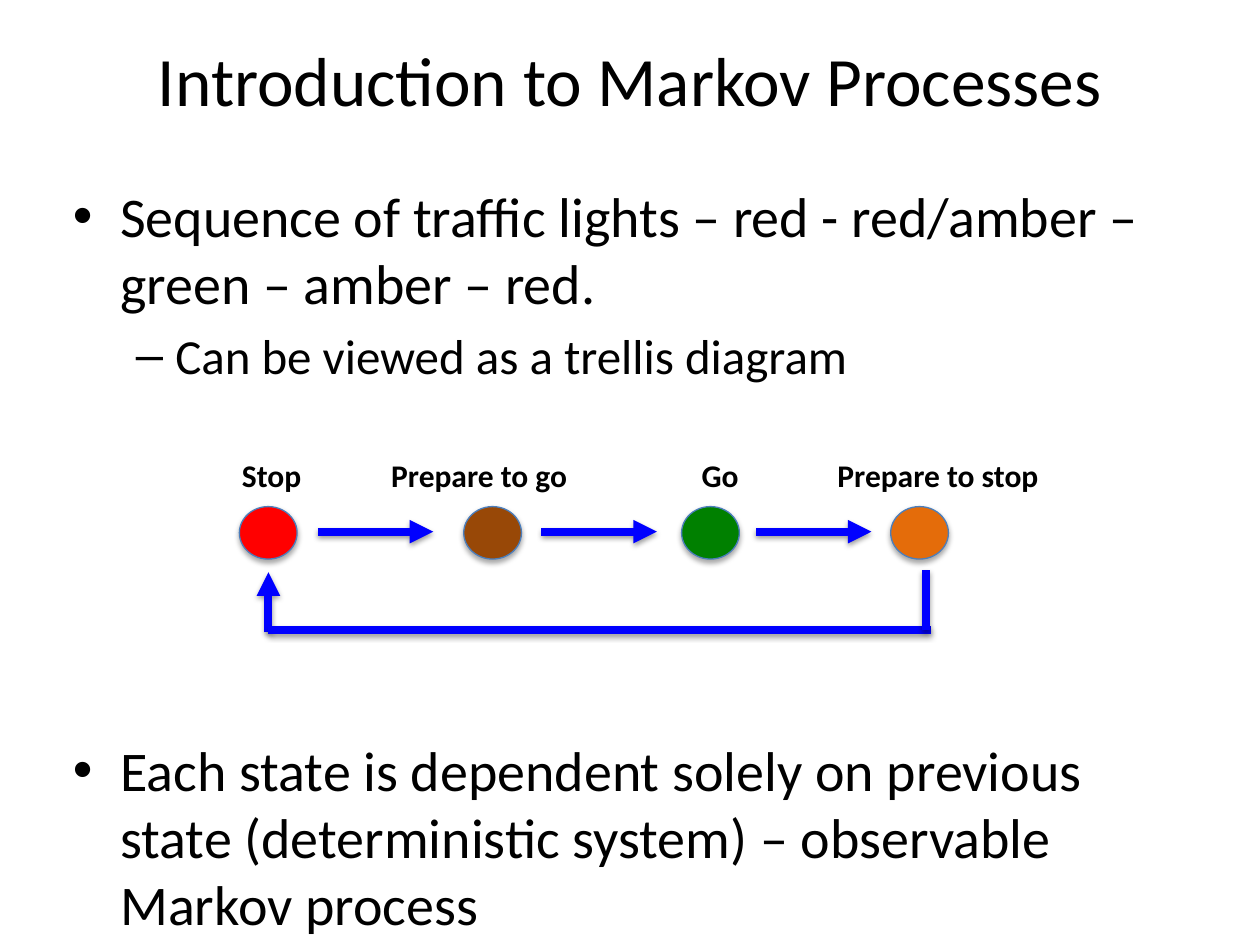
from dataclasses import dataclass

from lxml.etree import SubElement
from pptx import Presentation
from pptx.dml.color import RGBColor
from pptx.enum.shapes import MSO_CONNECTOR as Connector, MSO_SHAPE as Preset
from pptx.enum.text import MSO_ANCHOR as Anchor, PP_ALIGN as Align
from pptx.oxml.ns import qn
from pptx.util import Pt


@dataclass(frozen=True)
class Theme:
    font: str = "Calibri"
    text: str = "000000"
    outline: str = "4B7EBC"
    arrow: str = "0000FF"
    title_size: float = 39.6
    body_size: float = 32
    detail_size: float = 28
    label_size: float = 18
    outline_width: float = 0.75
    arrow_width: float = 4.5


THEME = Theme()


@dataclass(frozen=True)
class Bullet:
    text: str
    symbol: str
    size: float
    margin: float
    hanging: float
    space_before: float


@dataclass(frozen=True)
class State:
    label: str
    color: str
    left: float
    label_center: float
    label_width: float


@dataclass(frozen=True)
class Segment:
    start: tuple[float, float]
    end: tuple[float, float]
    arrowhead: bool = True


BULLETS = [
    Bullet("Sequence of traffic lights – red - red/amber – green – amber – red.",
           "•", THEME.body_size, 27, 27, 0),
    Bullet("Can be viewed as a trellis diagram", "–", THEME.detail_size, 58.5, 22.5, 5.6),
    # The wide space leaves room for the state diagram
    Bullet("Each state is dependent solely on previous state (deterministic system) "
           "– observable Markov process", "•", THEME.body_size, 27, 27, 200.5),
]

STATES = [
    State("Stop", "FF0000", 136.8, 155.2, 73),
    State("Prepare to go", "984807", 265, 273.8, 126),
    State("Go", "008000", 389.5, 411.5, 73),
    State("Prepare to stop", "E46C0A", 509, 536, 150.5),
]
STATE_TOP, STATE_WIDTH, STATE_HEIGHT = 289.5, 33, 30
LABEL_TOP, LABEL_HEIGHT = 257, 29

ARROW_Y, ARROW_LENGTH = 303.8, 66
RETURN_Y, RETURN_LEFT, RETURN_RIGHT = 360, 153.4, 529.2
SEGMENTS = [
    *(Segment((x, ARROW_Y), (x + ARROW_LENGTH, ARROW_Y)) for x in (181.6, 309.4, 432)),
    Segment((RETURN_LEFT, RETURN_Y + 1.4), (RETURN_LEFT, 327)),
    Segment((RETURN_LEFT, RETURN_Y), (RETURN_RIGHT + 3, RETURN_Y), False),
    Segment((RETURN_RIGHT, RETURN_Y), (RETURN_RIGHT, 325.6), False),
]


def apply_format(target, values: dict) -> None:
    for name, value in values.items():
        setattr(target, name, value)


def add_run(paragraph, text: str, size: float, bold: bool = False) -> None:
    run = paragraph.add_run()
    run.text = text
    apply_format(run.font, {"name": THEME.font, "size": Pt(size), "bold": bold})
    run.font.color.rgb = RGBColor.from_string(THEME.text)


def add_text_frame(slide, left: float, top: float, width: float, height: float,
                   anchor=Anchor.TOP):
    box = slide.shapes.add_textbox(Pt(left), Pt(top), Pt(width), Pt(height))
    apply_format(box.text_frame, {"word_wrap": True, "vertical_anchor": anchor})
    return box.text_frame


def add_centered_text(slide, text: str, area: tuple, size: float,
                      bold: bool = False, anchor=Anchor.TOP) -> None:
    paragraph = add_text_frame(slide, *area, anchor).paragraphs[0]
    paragraph.alignment = Align.CENTER
    add_run(paragraph, text, size, bold)


def add_bullets(slide, bullets: list[Bullet]) -> None:
    frame = add_text_frame(slide, 34.6, 100, 648, 424)
    for index, bullet in enumerate(bullets):
        paragraph = frame.add_paragraph() if index else frame.paragraphs[0]
        properties = paragraph._p.get_or_add_pPr()
        properties.set("marL", str(Pt(bullet.margin)))
        properties.set("indent", str(-Pt(bullet.hanging)))
        SubElement(properties, qn("a:buFont"), typeface="Arial")
        SubElement(properties, qn("a:buChar"), char=bullet.symbol)
        paragraph.space_before = Pt(bullet.space_before)
        add_run(paragraph, bullet.text, bullet.size)


def add_shadow(shape, distance: float, opacity: int) -> None:
    """Cast a soft black shadow straight down; call after fill and line are set."""
    effects = SubElement(shape._element.spPr, qn("a:effectLst"))
    shadow = SubElement(effects, qn("a:outerShdw"), blurRad=str(Pt(3.1)),
                        dist=str(Pt(distance)), dir="5400000", rotWithShape="0")
    color = SubElement(shadow, qn("a:srgbClr"), val="000000")
    SubElement(color, qn("a:alpha"), val=str(opacity * 1000))


def set_line(shape, color: str, width: float) -> None:
    shape.line.color.rgb = RGBColor.from_string(color)
    shape.line.width = Pt(width)


def add_state(slide, state: State) -> None:
    light = slide.shapes.add_shape(Preset.OVAL, Pt(state.left), Pt(STATE_TOP),
                                   Pt(STATE_WIDTH), Pt(STATE_HEIGHT))
    light.fill.solid()
    light.fill.fore_color.rgb = RGBColor.from_string(state.color)
    set_line(light, THEME.outline, THEME.outline_width)
    add_shadow(light, 1.8, 35)
    area = (state.label_center - state.label_width / 2, LABEL_TOP,
            state.label_width, LABEL_HEIGHT)
    add_centered_text(slide, state.label, area, THEME.label_size, bold=True)


def add_segment(slide, segment: Segment) -> None:
    ends = [Pt(value) for value in (*segment.start, *segment.end)]
    connector = slide.shapes.add_connector(Connector.STRAIGHT, *ends)
    set_line(connector, THEME.arrow, THEME.arrow_width)
    if segment.arrowhead:
        SubElement(connector.line._get_or_add_ln(), qn("a:tailEnd"), type="triangle")
    add_shadow(connector, 1.6, 38)


def main() -> None:
    presentation = Presentation()
    apply_format(presentation, {"slide_width": Pt(720), "slide_height": Pt(540)})
    slide = presentation.slides.add_slide(presentation.slide_layouts[6])
    add_bullets(slide, BULLETS)
    add_centered_text(slide, "Introduction to Markov Processes", (36, 21.6, 648, 46.8),
                      THEME.title_size, anchor=Anchor.MIDDLE)
    for state in STATES:
        add_state(slide, state)
    for segment in SEGMENTS:
        add_segment(slide, segment)
    presentation.save("out.pptx")


if __name__ == "__main__":
    main()
